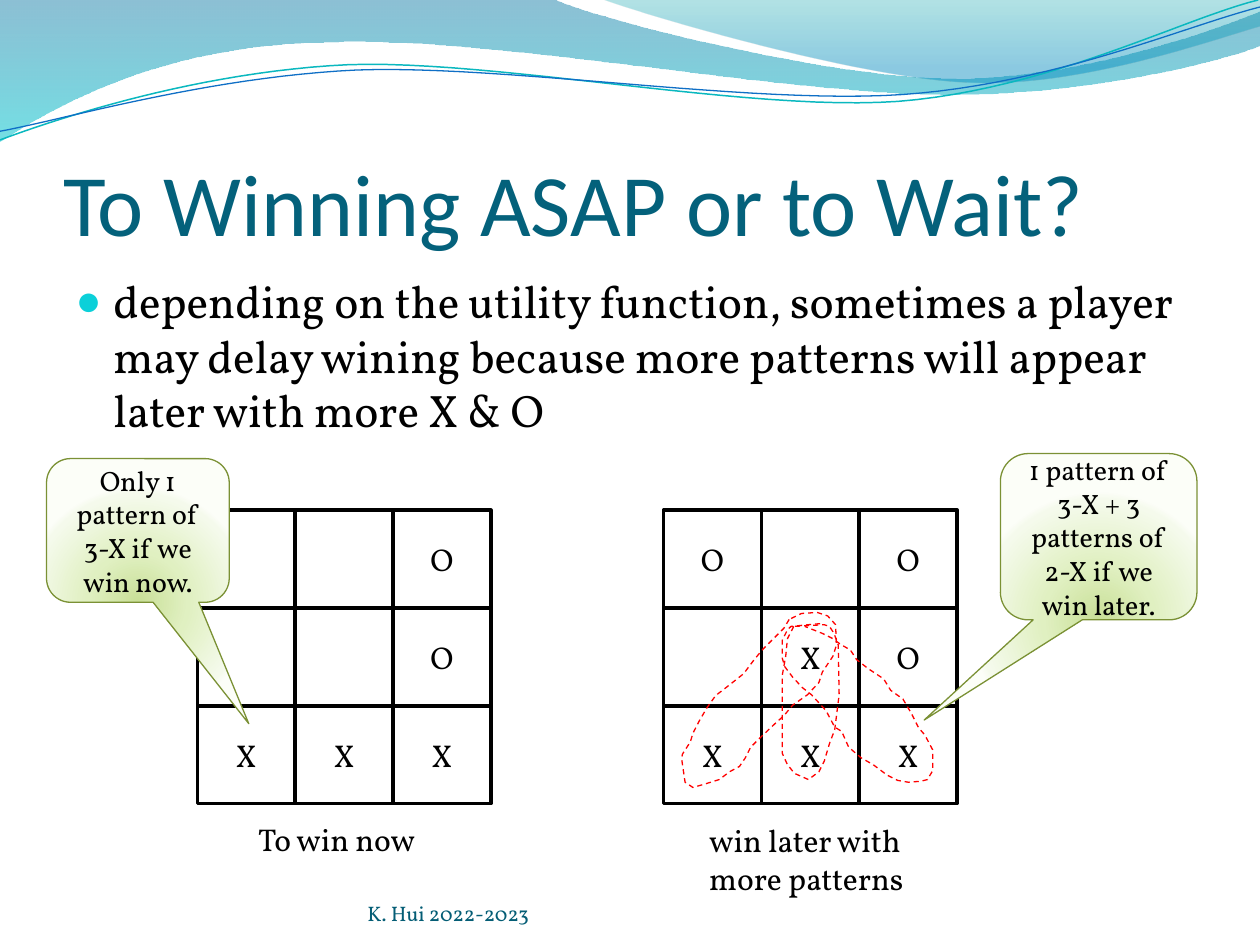
from pptx import Presentation
from pptx.dml.color import RGBColor as RGB
from pptx.enum.dml import MSO_LINE as DASH
from pptx.enum.shapes import MSO_SHAPE as SHAPE
from pptx.enum.text import MSO_ANCHOR as ANCHOR, MSO_AUTO_SIZE as AUTO, PP_ALIGN as ALIGN
from pptx.oxml import parse_xml
from pptx.oxml.ns import nsdecls
from pptx.util import Pt

COLORS = {
    "title": "04617B", "footer": "045D75", "text": "000000", "paper": "FFFFFF",
    "bullet": "0BD0D9", "teal": "0AB8BF", "blue": "0F6FC6", "loop": "FF0000",
    "callout": "7B9135",
}
WAVE_FILLS = [
    [(0, "0074A1", 45), (100, "00C6CF", 55)],
    [(0, "00A1A9", 30), (80, "008BBF", 45)],
]
CALLOUT_FILL = [(0, "C9DF97", 100), (43, "E0F0C1", 100), (93, "F5FAEC", 100), (100, "FCFEF8", 100)]
DOWN = '<a:lin ang="5400000" scaled="0"/>'
GLOW = '<a:path path="circle"><a:fillToRect l="50000" t="130000" r="50000" b="-30000"/></a:path>'

WAVES = [
    [(0, 0), (317, 0), (343, 12, 478, 45, 546, 45), (614, 45, 690, 19, 720, 6.5), (720, 26),
     (708, 32, 626, 55, 537, 54), (448, 54, 275, 20, 185, 24.5), (93, 26, 33, 60, 0, 81)],
    [(345, 0), (366, 8, 491, 45, 554, 47), (616, 50, 692, 23, 720, 15), (720, 0)],
]
STRANDS = [
    ("teal", 0.85, [(0, 80), (35, 67, 114, 41, 199, 37), (284, 34, 427, 64, 513, 58),
                    (600, 51, 675, 11, 719, 0)]),
    ("blue", 0.75, [(0, 75), (34, 69, 118, 44, 204, 40), (290, 37, 430, 60, 516, 54),
                    (602, 48, 677, 15, 720, 4)]),
]
RIGHT_LOOP = [
    (468.7, 356.4), (462, 357), (452, 358), (450, 360), (447, 366), (447, 376), (448.5, 381),
    (453, 387), (458.6, 393), (463.7, 397), (472, 406), (477, 415.5), (481, 418), (485, 427),
    (492, 433), (499, 437), (507, 443), (513, 446), (519, 447), (526, 446.5), (530, 445.5),
    (533, 440.5), (533, 428.5), (528.5, 420), (525, 416), (521, 408), (516, 399.5),
    (509, 394.5), (505, 388), (496, 382), (489.6, 377), (486, 371.5), (480, 368), (476, 365),
    (470, 362), (460, 358),
]
LEFT_LOOP = [
    (451, 354), (448, 359), (441, 366), (436, 371), (431, 377), (425, 385), (415.5, 392.5),
    (409, 397.5), (404, 404.5), (399.6, 412), (396, 419), (394.5, 424), (390, 431),
    (389.5, 433.5), (391.5, 447), (396, 450), (403, 448), (411, 445.5), (417, 441),
    (422.6, 438), (426, 433), (429, 427), (434, 422), (443.5, 413), (448, 409), (453, 403),
    (461.5, 397), (468, 390), (470, 384), (476, 375), (478, 368.6), (477.5, 357), (473, 352),
    (467, 350), (458, 350.6),
]
MIDDLE_LOOP = [
    (453.6, 358), (450, 365), (449, 375), (447, 386), (447, 430.5), (450, 437), (454, 442),
    (462, 445.5), (468, 441), (471, 435), (474, 425), (477, 417), (479.5, 397), (479, 368.6),
    (476.6, 362), (474, 358), (471, 357),
]


def flatten(steps, n=24):
    points = [steps[0]]
    for step in steps[1:]:
        if len(step) == 2:
            points.append(step)
            continue
        ctrl = [points[-1], step[:2], step[2:4], step[4:]]
        for i in range(1, n + 1):
            t = i / n
            w = ((1 - t) ** 3, 3 * t * (1 - t) ** 2, 3 * t * t * (1 - t), t ** 3)
            points.append(tuple(sum(a * c[k] for a, c in zip(w, ctrl)) for k in (0, 1)))
    return points


class Deck:
    font = "Vollkorn"

    def __init__(self, prs):
        self.s = prs.slides.add_slide(prs.slide_layouts[1])

    def put_text(self, sp, text, size, color="text", font=None, align=ALIGN.LEFT, **frame):
        tf = sp.text_frame
        for name, value in {"word_wrap": True, "auto_size": AUTO.NONE, **frame}.items():
            setattr(tf, name, value)
        p = tf.paragraphs[0]
        p.alignment = align
        r = p.add_run()
        r.text = text
        for name, value in {"size": Pt(size), "name": font or self.font}.items():
            setattr(r.font, name, value)
        r.font.color.rgb = RGB.from_string(COLORS[color])
        return p

    def place(self, sp, box):
        for name, value in zip(("left", "top", "width", "height"), box):
            setattr(sp, name, Pt(value))
        self.s.shapes._spTree.append(sp._element)
        return sp

    def title(self, box, text):
        sp = self.place(self.s.shapes.title, box)
        self.put_text(sp, text, 50, "title", "Calibri", vertical_anchor=ANCHOR.BOTTOM,
                      margin_left=0, margin_right=0, margin_bottom=0)

    def bullet(self, box, text):
        sp = self.place(self.s.placeholders[1], box)
        p = self.put_text(sp, text, 26)
        p.space_before = Pt(5.2)
        pPr = p._p.get_or_add_pPr()
        for name, value in {"marL": Pt(21.6), "indent": Pt(-21.6)}.items():
            pPr.set(name, str(int(value)))
        for tag in (f'buClr {nsdecls("a")}><a:srgbClr val="{COLORS["bullet"]}"/></a:buClr',
                    f'buSzPct {nsdecls("a")} val="95000"/',
                    f'buChar {nsdecls("a")} char="●"/'):
            pPr.append(parse_xml(f"<a:{tag}>"))

    def label(self, box, text, size=18, color="text", **frame):
        sp = self.s.shapes.add_textbox(*map(Pt, box))
        self.put_text(sp, text, size, color, **frame)

    def outline(self, sp, color, width, dash=None):
        sp.shadow.inherit = False
        sp.line.color.rgb = RGB.from_string(COLORS[color])
        sp.line.width = Pt(width)
        if dash:
            sp.line.dash_style = dash

    def gradient(self, sp, stops, direction):
        gs = "".join(f'<a:gs pos="{pos * 1000}"><a:srgbClr val="{rgb}">'
                     f'<a:alpha val="{alpha * 1000}"/></a:srgbClr></a:gs>'
                     for pos, rgb, alpha in stops)
        fill = parse_xml(f'<a:gradFill {nsdecls("a")} rotWithShape="1">'
                         f'<a:gsLst>{gs}</a:gsLst>{direction}</a:gradFill>')
        sp.fill.background()
        spPr = sp._element.spPr
        spPr.replace(spPr.find("{*}noFill"), fill)

    def freeform(self, points, close):
        corners = [(Pt(x), Pt(y)) for x, y in points]
        fb = self.s.shapes.build_freeform(*corners[0])
        fb.add_line_segments(corners[1:], close=close)
        sp = fb.convert_to_shape()
        sp.shadow.inherit = False
        return sp

    def wave(self, steps, stops):
        sp = self.freeform(flatten(steps), True)
        self.gradient(sp, stops, DOWN)
        sp.line.fill.background()

    def curve(self, points, color, width, dash=None, close=False):
        sp = self.freeform(points, close)
        sp.fill.background()
        self.outline(sp, color, width, dash)

    def board(self, left, top, rows, cell=55.9):
        for i, row in enumerate(rows):
            for j, mark in enumerate(row):
                sp = self.s.shapes.add_shape(
                    SHAPE.RECTANGLE, *map(Pt, (left + j * cell, top + i * cell, cell, cell)))
                sp.fill.solid()
                sp.fill.fore_color.rgb = RGB.from_string(COLORS["paper"])
                self.outline(sp, "text", 2)
                if mark != " ":
                    self.put_text(sp, mark, 18, align=ALIGN.CENTER, vertical_anchor=ANCHOR.MIDDLE)

    def callout(self, box, tip, text):
        sp = self.s.shapes.add_shape(SHAPE.ROUNDED_RECTANGULAR_CALLOUT, *map(Pt, box))
        for i, value in enumerate((*tip, 0.167)):
            sp.adjustments[i] = value
        self.gradient(sp, CALLOUT_FILL, GLOW)
        self.outline(sp, "callout", 0.75)
        self.put_text(sp, text, 16, align=ALIGN.CENTER, vertical_anchor=ANCHOR.MIDDLE)


prs = Presentation()
prs.slide_width, prs.slide_height = Pt(720), Pt(540)
deck = Deck(prs)
for steps, stops in zip(WAVES, WAVE_FILLS):
    deck.wave(steps, stops)
for color, width, steps in STRANDS:
    deck.curve(flatten(steps), color, width)

deck.title((36, 55.4, 648, 90), "To Winning ASAP or to Wait?")
deck.bullet((36, 152.6, 648, 106.6),
            "depending on the utility function, sometimes a player may delay wining "
            "because more patterns will appear later with more X & O")
deck.label((210, 500.4, 264, 28.8), "K. Hui 2022-2023", 12, "footer",
           vertical_anchor=ANCHOR.BOTTOM, margin_left=0, margin_right=0,
           margin_top=0, margin_bottom=0)

deck.board(112.8, 291.5, ["  O", "  O", "XXX"])
deck.board(379.2, 291.5, ["O O", " XO", "XXX"])
deck.label((140.4, 465.1, 104.4, 28.8), "To win now", word_wrap=False)
deck.label((398.2, 465.8, 136, 51), "win later with more patterns")
for points, close in ((RIGHT_LOOP, False), (LEFT_LOOP, True), (MIDDLE_LOOP, True)):
    deck.curve(points, "loop", 0.75, DASH.DASH, close)
deck.callout((26.6, 262.1, 104.4, 82.1), (0.607, 1.345), "Only 1 pattern of 3-X if we win now.")
deck.callout((571.7, 259.2, 112.3, 95), (-0.888, 1.103),
             "1 pattern of 3-X + 3 patterns of 2-X if we win later.")
prs.save("out.pptx")
